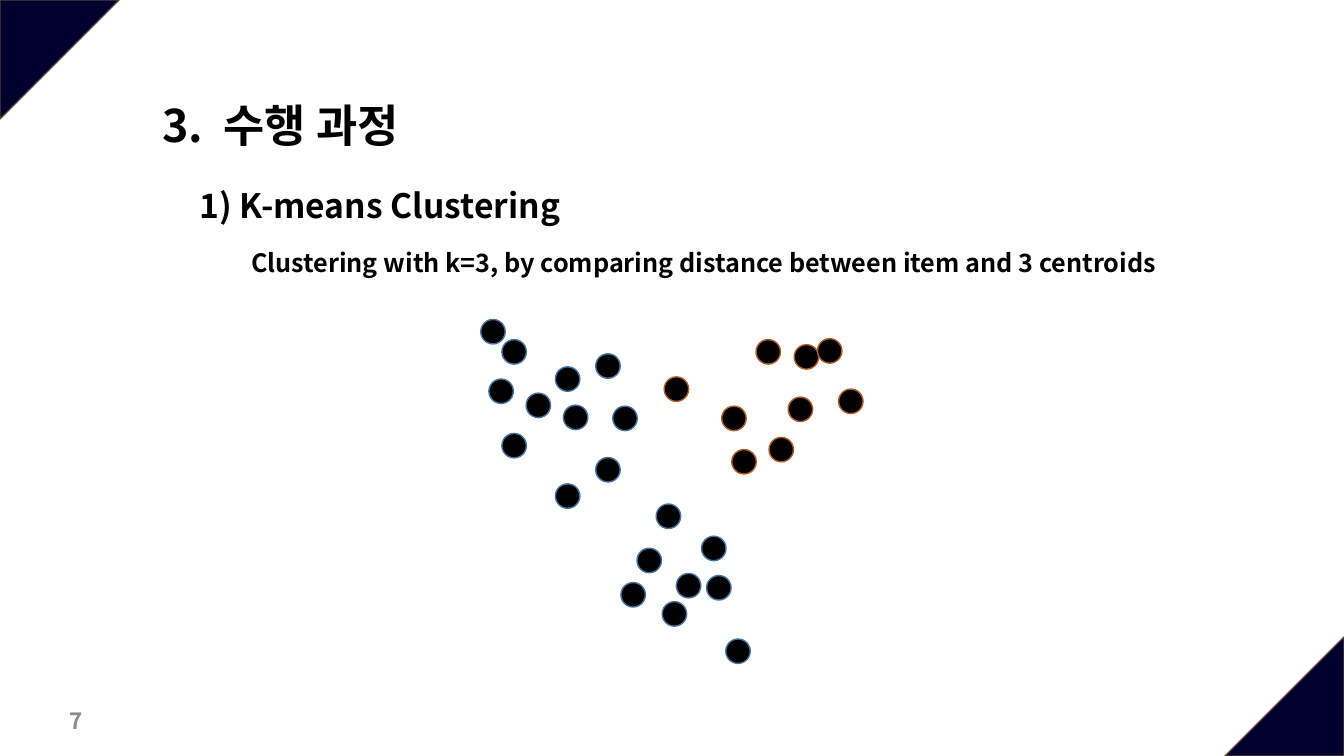
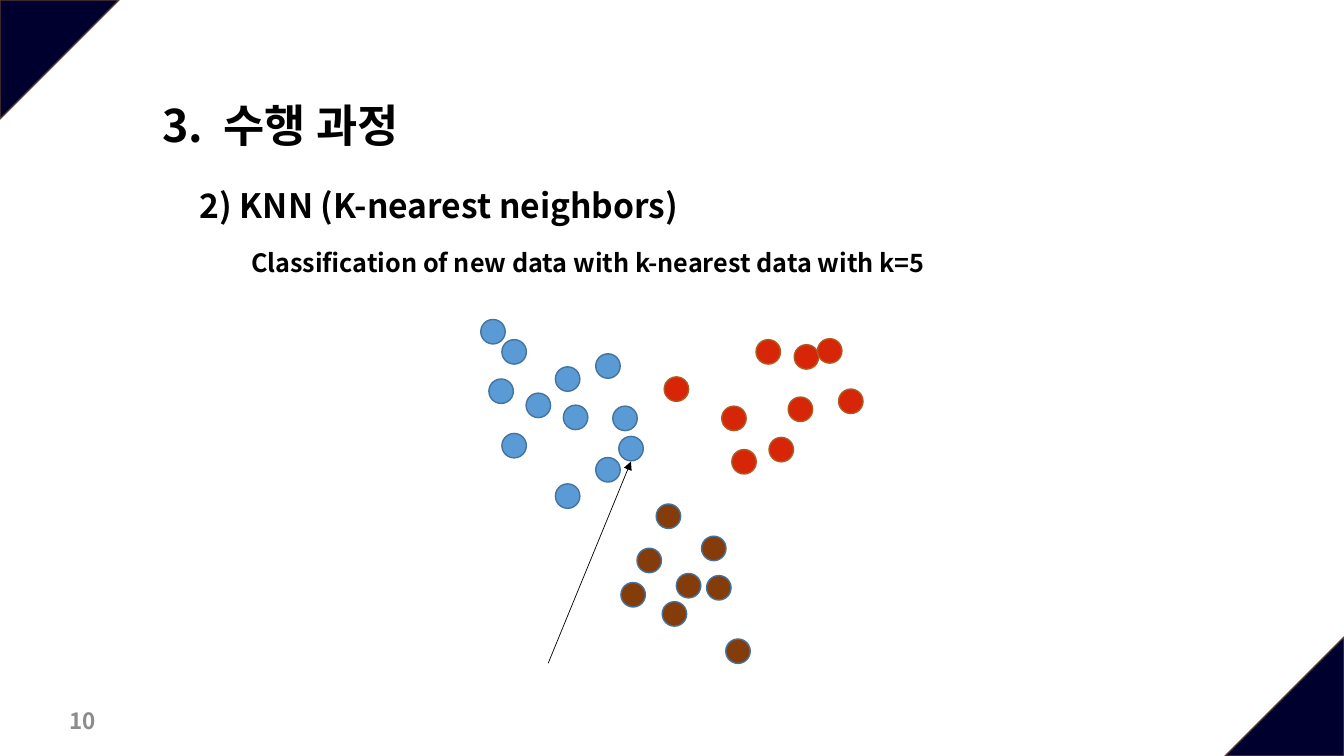
from lxml import etree
from pptx import Presentation
from pptx import util as u
from pptx.dml import color
from pptx.enum import shapes, text
from pptx.oxml import ns

FONT = "Noto Sans CJK KR"
INK, MUTED, NAVY, BROWN_EDGE = "000000", "8C8C8C", "00002F", "5B3F33"
BLUE, RED, BROWN = "5B9BD5", "D72507", "843C0B"
BLUE_EDGE, RED_EDGE = "43739E", "AF5C24"

WIDTH, HEIGHT, CORNER, DOT = 960, 540, 85, 17.5
TITLE_BOX = (108.7, 66.2, 400, 46)
BODY_BOX = (135.4, 128.2, 760, 90)
NUMBER_BOX = (42.5, 500.4, 216, 28.8)
PLOT_BOX = (343.4, 228.2, 273, 246)

LEFT_CLUSTER = [
    (0, 0), (15.1, 14.4), (5.8, 42.5), (32.4, 52.6), (15.1, 81.4), (53.3, 33.8),
    (59, 61.2), (53.3, 117.4), (82.1, 24.5), (94.3, 61.9), (82.1, 98.6),
]
RIGHT_CLUSTER = [
    (131, 41), (196.6, 14.4), (172.1, 61.9), (223.9, 18), (219.6, 55.4),
    (255.6, 49.7), (240.5, 13.7), (205.9, 84.2), (179.3, 92.9),
]
LOWER_CLUSTER = [
    (139.7, 181.4), (175, 228.2), (161.3, 182.9), (100.1, 187.9),
    (125.3, 131.8), (111.6, 163.4), (129.6, 201.6), (157.7, 154.8),
]
NEW_ITEM = (98.6, 83.5)
ARROW_START, ARROW_END = (48.2, 245.5), (107.3, 101.5)


def rgb(value):
    """Turn a hex string into a colour."""
    return color.RGBColor.from_string(value)


def points(*lengths):
    """Turn plain numbers into point lengths."""
    return [u.Pt(length) for length in lengths]


def write(paragraph, words, size=18, ink=INK, tracking=0):
    """Add a bold run to a paragraph."""
    run = paragraph.add_run()
    run.text = words
    run.font.size = u.Pt(size)
    run.font.bold = True
    run.font.name = FONT
    run.font.color.rgb = rgb(ink)
    properties = run.font._element
    etree.SubElement(properties, ns.qn("a:ea")).set("typeface", FONT)
    if tracking:
        properties.set("spc", str(round(tracking * 100)))


def prepare(holder, box, anchor=text.MSO_ANCHOR.TOP):
    """Place a text holder and return its frame."""
    holder.left, holder.top, holder.width, holder.height = points(*box)
    frame = holder.text_frame
    frame.word_wrap = True
    frame.auto_size = text.MSO_AUTO_SIZE.NONE
    frame.vertical_anchor = anchor
    return frame


def flush(paragraph, indent=0, before=0):
    """Left-align a paragraph without a bullet."""
    paragraph.alignment = text.PP_ALIGN.LEFT
    paragraph.space_before = u.Pt(before)
    properties = paragraph._p.get_or_add_pPr()
    properties.set("marL", str(u.Pt(indent)))
    properties.set("indent", "0")
    etree.SubElement(properties, ns.qn("a:buNone"))


def draw(parent, kind, box, fill, edge):
    """Add a filled and outlined shape."""
    shape = parent.add_shape(kind, *points(*box))
    shape.shadow.inherit = False
    shape.fill.solid()
    shape.fill.fore_color.rgb = rgb(fill)
    shape.line.color.rgb = rgb(edge)
    shape.line.width = u.Pt(1)
    return shape


def add_corners(deck, slide):
    """Put the two corner triangles on the slide master."""
    tree = deck.slide_master.shapes.element
    corners = ((0, 0, 90), (WIDTH - CORNER, HEIGHT - CORNER, 270))
    for number, (left, top, turn) in enumerate(corners, 101):
        corner = draw(slide.shapes, shapes.MSO_SHAPE.ISOSCELES_TRIANGLE,
                      (left, top, CORNER, CORNER), NAVY, BROWN_EDGE)
        corner.adjustments[0] = 0
        corner.rotation = turn
        corner.element.nvSpPr.cNvPr.set("id", str(number))
        tree.append(corner.element)


def add_header(slide, heading, summary):
    """Fill the title and the two lines below it."""
    title = prepare(slide.shapes.title, TITLE_BOX).paragraphs[0]
    flush(title)
    write(title, "3.", size=32)
    write(title, " ", size=32, tracking=7.3)
    write(title, "수행 과정", size=32)
    body = prepare(slide.placeholders[1], BODY_BOX)
    flush(body.paragraphs[0])
    write(body.paragraphs[0], heading, size=24)
    detail = body.add_paragraph()
    flush(detail, indent=36.7, before=15.8)
    write(detail, summary)


def add_number(slide, number):
    """Add the page number at the lower left."""
    holder = slide.shapes.add_textbox(*points(*NUMBER_BOX))
    frame = prepare(holder, NUMBER_BOX, text.MSO_ANCHOR.MIDDLE)
    write(frame.paragraphs[0], str(number), size=16, ink=MUTED)


def add_dot(parent, box, offset, fill, edge):
    """Add one data item at an offset within the plot box."""
    place = (box[0] + offset[0], box[1] + offset[1], DOT, DOT)
    draw(parent, shapes.MSO_SHAPE.OVAL, place, fill, edge)


def add_clusters(slide, box, fills):
    """Draw the three clusters, each as a group."""
    clusters = (LEFT_CLUSTER, RIGHT_CLUSTER, LOWER_CLUSTER)
    edges = (BLUE_EDGE, RED_EDGE, BLUE_EDGE)
    for cluster, fill, edge in zip(clusters, fills, edges):
        group = slide.shapes.add_group_shape()
        for offset in cluster:
            add_dot(group.shapes, box, offset, fill, edge)


def add_new_item(slide, box):
    """Draw the newly classified item and the arrow to it."""
    add_dot(slide.shapes, box, NEW_ITEM, BLUE, BLUE_EDGE)
    ends = [box[axis] + end[axis]
            for end in (ARROW_START, ARROW_END) for axis in (0, 1)]
    arrow = slide.shapes.add_connector(
        shapes.MSO_CONNECTOR.STRAIGHT, *points(*ends))
    arrow.line.color.rgb = rgb(INK)
    arrow.line.width = u.Pt(0.5)
    properties = arrow.element.spPr
    outline = properties.find(ns.qn("a:ln"))
    etree.SubElement(outline, ns.qn("a:tailEnd")).set("type", "triangle")
    etree.SubElement(properties, ns.qn("a:effectLst"))


def add_method(deck, number, heading, summary, fills):
    """Build a slide that shows one method on the clusters."""
    slide = deck.slides.add_slide(deck.slide_layouts[1])
    add_header(slide, heading, summary)
    add_clusters(slide, PLOT_BOX, fills)
    add_number(slide, number)
    return slide


def main():
    """Build and save the deck."""
    deck = Presentation()
    deck.slide_width, deck.slide_height = points(WIDTH, HEIGHT)
    kmeans = add_method(
        deck, 7, "1) K-means Clustering",
        "Clustering with k=3, by comparing distance between item and 3 centroids",
        (INK, INK, INK))
    add_corners(deck, kmeans)
    neighbors = add_method(
        deck, 10, "2) KNN (K-nearest neighbors)",
        "Classification of new data with k-nearest data with k=5",
        (BLUE, RED, BROWN))
    add_new_item(neighbors, PLOT_BOX)
    deck.save("out.pptx")


if __name__ == "__main__":
    main()
